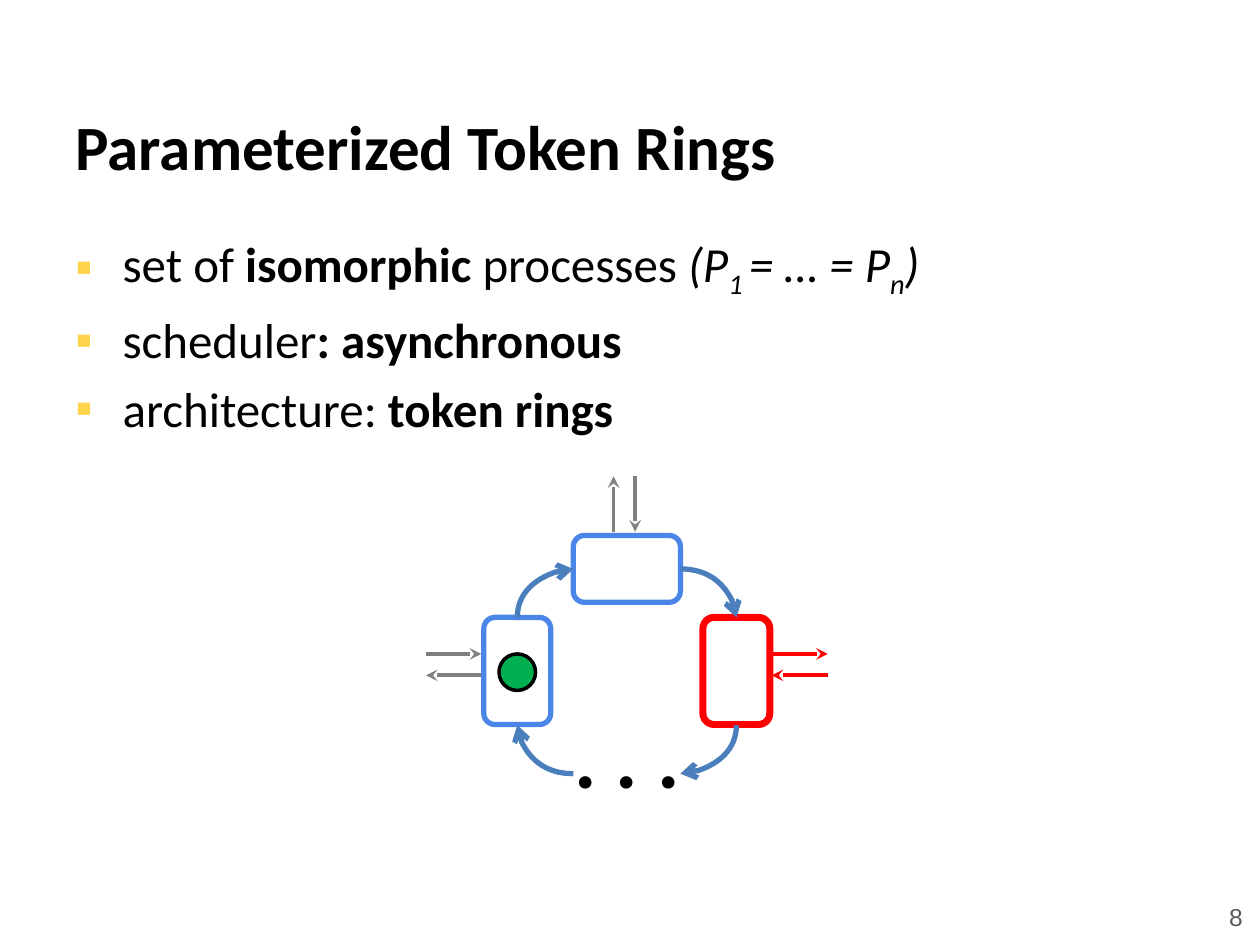
import pptx
import pptx.util
import pptx.dml.color
import pptx.enum.shapes
import pptx.enum.text
import pptx.oxml.ns
from lxml import etree

Pt = pptx.util.Pt
SHAPE = pptx.enum.shapes.MSO_SHAPE
CONNECTOR = pptx.enum.shapes.MSO_CONNECTOR
ALIGN = pptx.enum.text.PP_ALIGN
ANCHOR = pptx.enum.text.MSO_ANCHOR
qn = pptx.oxml.ns.qn


def color(hex_text):
    return pptx.dml.color.RGBColor.from_string(hex_text)


def write(para, text, hex_text="000000", baseline=0, **formats):
    span = para.add_run()
    span.text = text
    for name, value in {"name": "Calibri", **formats}.items():
        setattr(span.font, name, value)
    span.font.color.rgb = color(hex_text)
    if baseline:
        span.font._element.set("baseline", str(baseline))


deck = pptx.Presentation()
deck.slide_width, deck.slide_height = Pt(720), Pt(540)
page = deck.slides.add_slide(deck.slide_layouts[5])
inset = {"margin_left": Pt(7.2), "margin_right": Pt(7.2),
         "margin_top": Pt(7.2), "margin_bottom": Pt(7.2), "word_wrap": True}

# Title
title = page.shapes.title
title.left, title.top, title.width, title.height = Pt(36), Pt(53.3), Pt(648), Pt(58.3)
for name, value in {**inset, "vertical_anchor": ANCHOR.BOTTOM,
                    "auto_size": pptx.enum.text.MSO_AUTO_SIZE.NONE}.items():
    setattr(title.text_frame, name, value)
para = title.text_frame.paragraphs[0]
para.alignment = ALIGN.LEFT
write(para, "Parameterized Token Rings", size=Pt(36), bold=True)

# Bullet list: each span is its text, format and baseline shift
bold, italic = {"bold": True}, {"italic": True}
bullets = [
    [("set of ", {}, 0), ("isomorphic ", bold, 0), ("processes", {}, 0),
     (" (P", italic, 0), ("1 ", italic, -25000), ("= … = P", italic, 0),
     ("n", italic, -25000), (")", italic, 0)],
    [("scheduler", {}, 0), (": asynchronous", bold, 0)],
    [("architecture: ", {}, 0), ("token rings", bold, 0)],
]
box = page.shapes.add_textbox(Pt(36), Pt(126), Pt(648), Pt(391))
for name, value in inset.items():
    setattr(box.text_frame, name, value)
for index, spans in enumerate(bullets):
    para = box.text_frame.add_paragraph() if index else box.text_frame.paragraphs[0]
    para.space_before = Pt(5.6)
    props = para._p.get_or_add_pPr()
    props.set("marL", str(Pt(27)))
    props.set("indent", str(-Pt(27)))
    bullet_color = etree.SubElement(props, qn("a:buClr"))
    etree.SubElement(bullet_color, qn("a:srgbClr"), val="FDD44A")
    etree.SubElement(props, qn("a:buFont"), typeface="Arial")
    etree.SubElement(props, qn("a:buChar"), char="▪")
    for text, formats, baseline in spans:
        write(para, text, baseline=baseline, size=Pt(28), **formats)

# Ring geometry
left_x, top_x, right_x = 295.6, 358.2, 420.8
top_y, side_y, bottom_y = 325.1, 383.4, 442.1
long_side, short_side = 61.2, 38.2

# Processes and the token: center, size, fill, line
figures = [
    (SHAPE.ROUNDED_RECTANGLE, left_x, side_y, short_side, long_side, None, "4A86E8", 3),
    (SHAPE.ROUNDED_RECTANGLE, top_x, top_y, long_side, short_side, None, "4A86E8", 3),
    (SHAPE.ROUNDED_RECTANGLE, right_x, side_y, short_side, long_side, None, "FF0000", 4),
    (SHAPE.OVAL, left_x, side_y + 0.7, 20.9, 20.9, "00B050", "000000", 2),
]
for kind, x, y, width, height, fill, line, weight in figures:
    shape = page.shapes.add_shape(kind, Pt(x - width / 2), Pt(y - height / 2),
                                  Pt(width), Pt(height))
    shape.shadow.inherit = False
    if fill:
        shape.fill.solid()
        shape.fill.fore_color.rgb = color(fill)
    else:
        shape.fill.background()
    shape.line.color.rgb = color(line)
    shape.line.width = Pt(weight)

# Arrows: type, start, end, color, weight, head, rotation
arrows = []
for inner, outer, hue in [(275, 243.4, "808080"), (441, 473, "FF0000")]:
    near, far = sorted([inner, outer])
    arrows += [(CONNECTOR.STRAIGHT, far, 385.9, near, 385.9, hue, 2.25, "stealth", 0),
               (CONNECTOR.STRAIGHT, near, 373.7, far, 373.7, hue, 2.25, "stealth", 0)]
arrows += [(CONNECTOR.STRAIGHT, 350.6, 303.8, 350.6, 272.2, "808080", 2.25, "stealth", 0),
           (CONNECTOR.STRAIGHT, 362.9, 272.2, 362.9, 303.8, "808080", 2.25, "stealth", 0)]

# Ring arcs: one quarter curve, turned clockwise about the middle of each corner
gap_x = right_x - top_x - long_side / 2
gap_y = side_y - long_side / 2 - top_y
for corner, (side_x, level_y, toward_x, toward_y) in enumerate([
        (right_x, top_y, -1, 1), (right_x, bottom_y, -1, -1),
        (left_x, bottom_y, 1, -1), (left_x, top_y, 1, 1)]):
    middle_x = side_x + toward_x * gap_x / 2
    middle_y = level_y + toward_y * gap_y / 2
    width, height = (gap_y, gap_x) if corner % 2 else (gap_x, gap_y)
    arrows.append((CONNECTOR.CURVE, middle_x - width / 2, middle_y - height / 2,
                   middle_x + width / 2, middle_y + height / 2,
                   "4B7EBC", 3, "arrow", corner * 90))

for kind, x1, y1, x2, y2, hue, weight, head, angle in arrows:
    arrow = page.shapes.add_connector(kind, Pt(x1), Pt(y1), Pt(x2), Pt(y2))
    arrow.line.color.rgb = color(hue)
    arrow.line.width = Pt(weight)
    etree.SubElement(arrow.line._get_or_add_ln(), qn("a:tailEnd"), type=head)
    props = arrow._element.spPr
    etree.SubElement(props, qn("a:effectLst"))
    if kind == CONNECTOR.CURVE:
        props.find(qn("a:prstGeom")).set("prst", "curvedConnector2")
        props.find(qn("a:xfrm")).set("rot", str(angle * 60000))

# Dots for the remaining processes
dots = page.shapes.add_textbox(Pt(321.1), Pt(398.9), Pt(75.6), Pt(65.5))
dots.text_frame.word_wrap = False
write(dots.text_frame.paragraphs[0], ". . .", size=Pt(48), bold=True)

# Page number
number = page.shapes.add_textbox(Pt(549.4), Pt(511.9), Pt(167.8), Pt(24.5))
number.text_frame.word_wrap = True
para = number.text_frame.paragraphs[0]
para.alignment = ALIGN.RIGHT
write(para, "8", "595959", name="Arial", size=Pt(14))

deck.save("out.pptx")
